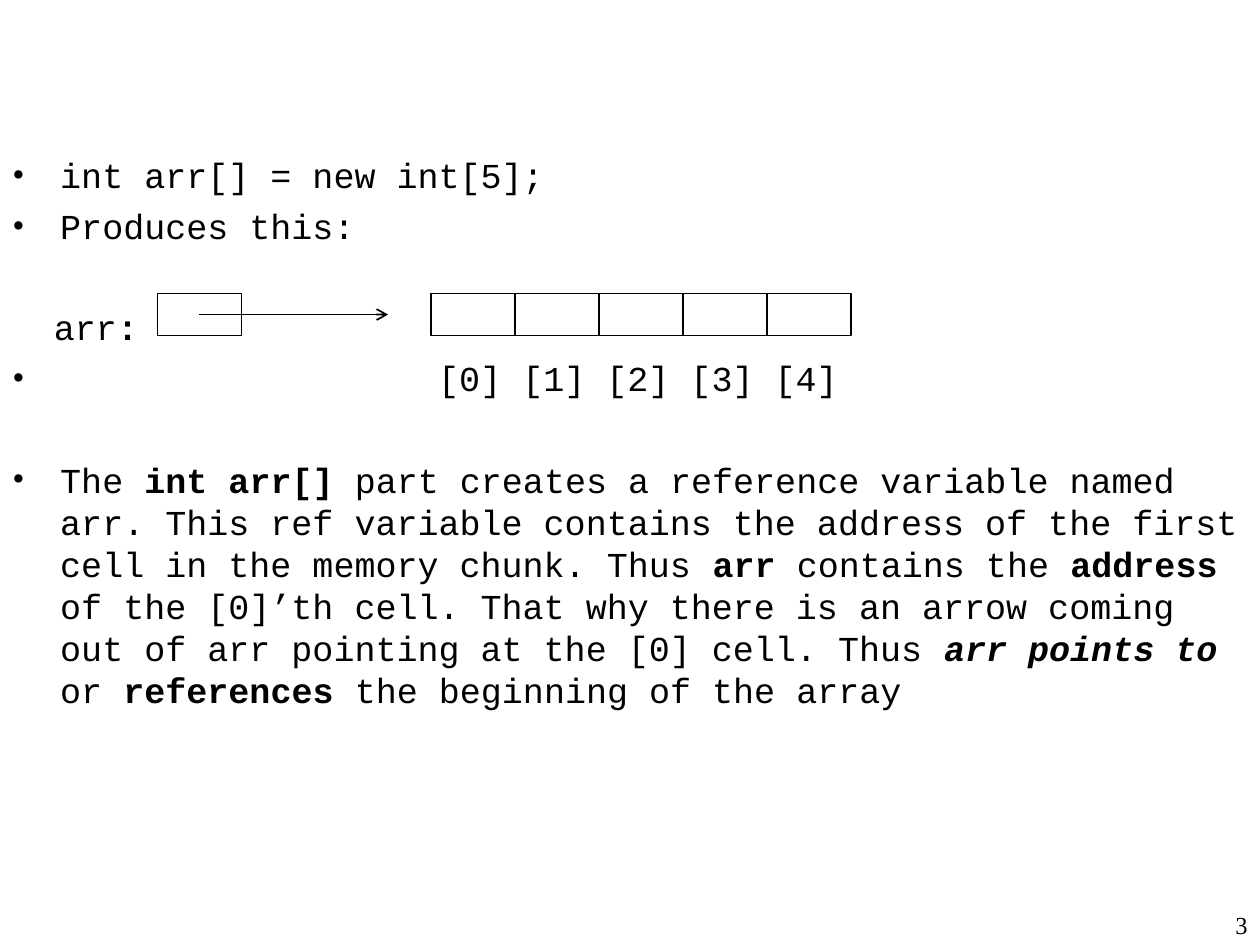
"""Build a slide on how an array reference points to its cells."""
from lxml.etree import SubElement
from pptx import Presentation
from pptx.dml.color import RGBColor
from pptx.enum.shapes import MSO_CONNECTOR, MSO_SHAPE
from pptx.enum.text import PP_ALIGN
from pptx.oxml.ns import qn
from pptx.util import Inches, Pt


def color(code):
    """Turn a hex string into a color."""
    return RGBColor.from_string(code)


def write(para, text, size=20, font="Courier New", bold=False, slant=False):
    """Add a formatted run to a paragraph."""
    run = para.add_run()
    run.text = text
    run.font.size = Pt(size)
    run.font.name = font
    run.font.bold = bold
    run.font.italic = slant
    run.font.color.rgb = color(INK)


INK = "000000"
SIDE, HIGH, TOP = 2 / 3, 1 / 3, 2.33

deck = Presentation()
deck.slide_width, deck.slide_height = Inches(10), Inches(7.5)
slide = deck.slides.add_slide(deck.slide_layouts[6])

bold = {"bold": True}
lines = [
    (3, 0.38, True, [("int arr[] = new int[5];", {})]),
    (5, 0.38, True, [("Produces this:", {})]),
    (34, 0.33, False, [("arr", {}), (":", bold)]),
    (5, 3.38, True, [("[0] [1] [2] [3] [4]", {})]),
    (34, 0.38, True, [
        ("The ", {}),
        ("int arr[] ", bold),
        ("part creates a reference variable named arr. This ref variable "
         "contains the address of the first cell in the memory chunk. Thus ", {}),
        ("arr", bold),
        (" contains the ", {}),
        ("address", bold),
        (" of the [0]’th cell. That why there is an arrow coming out of arr "
         "pointing at the [0] cell. Thus ", {}),
        ("arr points to ", {"bold": True, "slant": True}),
        ("or ", {}),
        ("references", bold),
        (" the beginning of the array", {}),
    ]),
]
body = slide.shapes.add_textbox(Inches(0), Inches(1.17), Inches(10), Inches(5.84))
frame = body.text_frame
frame.word_wrap = True
for i, (gap, left, dot, runs) in enumerate(lines):
    para = frame.add_paragraph() if i else frame.paragraphs[0]
    para.space_before = Pt(gap)
    para.line_spacing = Pt(24)
    props = para._p.get_or_add_pPr()
    props.set("marL", str(Inches(left)))
    props.set("indent", str(-Inches(left) if dot else 0))
    if dot:
        SubElement(props, qn("a:buFont")).set("typeface", "Times New Roman")
        SubElement(props, qn("a:buChar")).set("char", "•")
    for text, style in runs:
        write(para, text, **style)

foot = slide.shapes.add_textbox(Inches(7.92), Inches(7.17), Inches(2.08), Inches(0.33))
foot.text_frame.word_wrap = True
para = foot.text_frame.paragraphs[0]
para.alignment = PP_ALIGN.RIGHT
write(para, "3", size=14, font="Times New Roman")

for left in [1.25] + [3.42 + i * SIDE for i in range(5)]:
    cell = slide.shapes.add_shape(
        MSO_SHAPE.RECTANGLE, Inches(left), Inches(TOP), Inches(SIDE), Inches(HIGH))
    cell.shadow.inherit = False
    cell.fill.background()
    cell.line.color.rgb = color(INK)
    cell.line.width = Pt(1)

mid = Inches(TOP + HIGH / 2)
arrow = slide.shapes.add_connector(
    MSO_CONNECTOR.STRAIGHT, Inches(1.58), mid, Inches(3.08), mid)
arrow.line.color.rgb = color(INK)
arrow.line.width = Pt(1)
SubElement(arrow.line._get_or_add_ln(), qn("a:tailEnd")).set("type", "arrow")
SubElement(arrow._element.spPr, qn("a:effectLst"))

deck.save("out.pptx")
